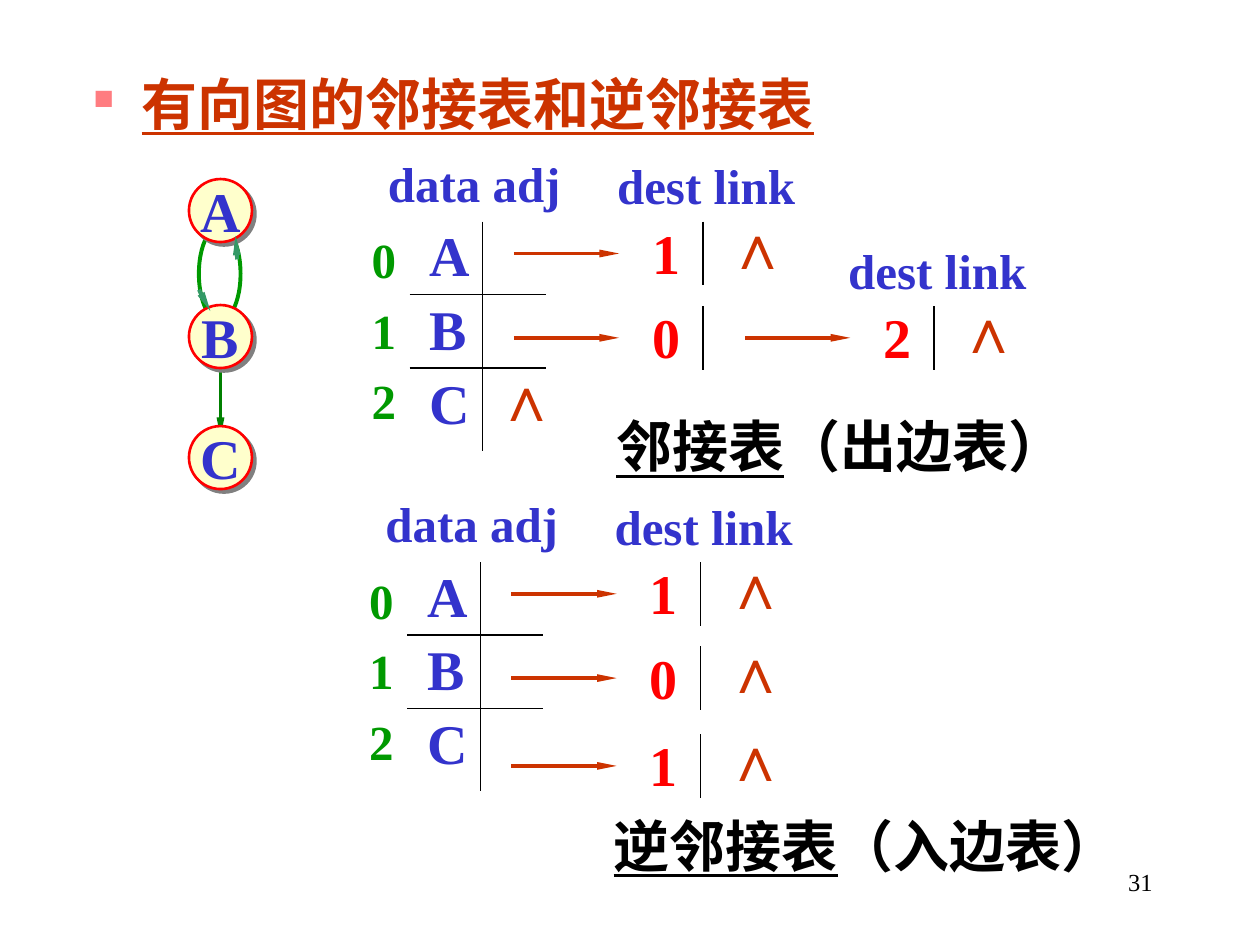
from lxml.etree import SubElement
from pptx import Presentation
from pptx.dml.color import RGBColor
from pptx.enum.shapes import MSO_CONNECTOR, MSO_SHAPE
from pptx.enum.text import MSO_ANCHOR, MSO_AUTO_SIZE, PP_ALIGN
from pptx.oxml.ns import qn
from pptx.util import Cm, Pt

COLORS = {
    "heading": "CC3300", "bullet": "FF7C80", "label": "3333CC", "index": "009900",
    "value": "FF0000", "text": "000000", "node": "FFFFCC", "shadow": "808080",
    "edge": "008000", "edge_tip": "339966",
}
LATIN, CJK = "Times New Roman", "Noto Sans CJK SC"
NULL = "∧"

HEADING = "有向图的邻接表和逆邻接表"
PAGE = "31"
VERTICES = ["A", "B", "C"]
NODE_TOPS = [3.61, 6.15, 8.59]
NODE_LEFT, NODE_SIZE = 3.81, 1.27
EDGES = [
    ((4.01, 5.84), (4.24, 6.27)),
    ((4.78, 5.23), (4.75, 4.75)),
]
LISTS = [
    {"origin": (7.24, 2.97), "caption": ("邻接表", "（出边表）"), "caption_box": (5.21, 9.58),
     "chains": [["1"], ["0", "2"], []]},
    {"origin": (7.19, 9.83), "caption": ("逆邻接表", "（入边表）"), "caption_box": (13.26, 10.72),
     "chains": [["1"], ["0"], ["1"]]},
]
ROW_CENTERS = [2.14, 3.84, 5.61]
LINK_PITCH = 4.66

presentation = Presentation()
presentation.slide_width, presentation.slide_height = Cm(25.4), Cm(19.05)
slide = presentation.slides.add_slide(presentation.slide_layouts[5])


def rgb(name):
    return RGBColor.from_string(COLORS[name])


def style(run, size, color, bold=True, latin=LATIN, underline=None):
    font = run.font
    font.size, font.bold, font.name, font.underline = Pt(size), bold, latin, underline
    font.color.rgb = rgb(color)
    SubElement(run._r.get_or_add_rPr(), qn("a:ea"), typeface=CJK)


def text_box(lines, left, top, width, height, size, color, spacing=None):
    box = slide.shapes.add_textbox(Cm(left), Cm(top), Cm(width), Cm(height))
    frame = box.text_frame
    frame.word_wrap = False
    frame.auto_size = MSO_AUTO_SIZE.SHAPE_TO_FIT_TEXT
    frame.text = "\n".join(lines)
    for paragraph in frame.paragraphs:
        paragraph.line_spacing = spacing
        for run in paragraph.runs:
            style(run, size, color)
    return frame


def line(start, end, color="text", width=0.75, arrow=False):
    connector = slide.shapes.add_connector(
        MSO_CONNECTOR.STRAIGHT, *(Cm(value) for value in (*start, *end)))
    connector.line.color.rgb = rgb(color)
    connector.line.width = Pt(width)
    if arrow:
        SubElement(connector.line._get_or_add_ln(), qn("a:tailEnd"),
                   type="triangle", w="sm", len="lg")
    SubElement(connector._element.spPr, qn("a:effectLst"))


def oval(left, top, width, height, color, weight):
    shape = slide.shapes.add_shape(
        MSO_SHAPE.OVAL, Cm(left), Cm(top), Cm(width), Cm(height))
    shape.shadow.inherit = False
    shape.fill.background()
    shape.line.color.rgb = rgb(color)
    shape.line.width = Pt(weight)
    return shape


def add_heading():
    title = slide.shapes.title
    title.left, title.top, title.width, title.height = Cm(1.63), Cm(1.27), Cm(15.32), Cm(1.9)
    frame = title.text_frame
    frame.text = HEADING
    frame.vertical_anchor = MSO_ANCHOR.TOP
    paragraph = frame.paragraphs[0]
    paragraph.alignment = PP_ALIGN.LEFT
    properties = paragraph._p.get_or_add_pPr()
    properties.set("marL", str(Cm(0.97)))
    properties.set("indent", str(-Cm(0.97)))
    bullet_color = SubElement(properties, qn("a:buClr"))
    SubElement(bullet_color, qn("a:srgbClr"), val=COLORS["bullet"])
    SubElement(properties, qn("a:buSzPct"), val="50000")
    SubElement(properties, qn("a:buChar"), char="■")
    style(paragraph.runs[0], 32, "heading", underline=True)


def add_node(vertex, top):
    node = oval(NODE_LEFT, top, NODE_SIZE, NODE_SIZE, "value", 1.5)
    node.fill.solid()
    node.fill.fore_color.rgb = rgb("node")
    effects = node._element.spPr.find(qn("a:effectLst"))
    shadow = SubElement(effects, qn("a:outerShdw"), dist=str(Pt(2.8)), dir="2700000",
                        algn="ctr", rotWithShape="0")
    SubElement(shadow, qn("a:srgbClr"), val=COLORS["shadow"])
    frame = node.text_frame
    frame.margin_left = frame.margin_right = frame.margin_top = frame.margin_bottom = 0
    frame.word_wrap = False
    frame.vertical_anchor = MSO_ANCHOR.MIDDLE
    frame.text = vertex
    frame.paragraphs[0].alignment = PP_ALIGN.CENTER
    style(frame.paragraphs[0].runs[0], 32, "label")


def add_graph():
    center = NODE_LEFT + NODE_SIZE / 2
    line((center, 7.32), (center, 8.81), "edge", 2.25, True)
    oval(4.01, 4.57, 0.84, 1.9, "index", 2.25)
    for vertex, top in zip(VERTICES, NODE_TOPS):
        add_node(vertex, top)
    for start, end in EDGES:
        line(start, end, "edge_tip", 2.25, True)


def add_link(value, x, y, is_last, has_header):
    line((x, y), (x + 2.12, y), "heading", 2.25, True)
    line((x + 3.81, y - 0.64), (x + 3.81, y + 0.64))
    text_box([value], x + 2.54, y - 0.83, 1.07, 1.6, 32, "value")
    if is_last:
        text_box([NULL], x + 4.04, y - 1.08, 1.27, 1.78, 36, "heading")
    if has_header:
        text_box(["dest link"], x + 1.83, y - 2.09, 4.11, 1.45, 28, "label")


def add_list(origin, caption, caption_box, chains):
    x, y = origin
    text_box(["data adj"], x + 0.33, y, 4.01, 1.45, 28, "label")
    text_box(VERTICES, x + 1.17, y + 1.22, 1.32, 4.72, 32, "label", 1.1)
    text_box([str(i) for i in range(len(VERTICES))], x, y + 1.3, 1.02, 4.52, 28, "index", 1.2)
    line((x + 2.49, y + 1.5), (x + 2.49, y + 6.12))
    for rule in (2.97, 4.45):
        line((x + 1.02, y + rule), (x + 3.76, y + rule))
    for row, chain in enumerate(chains):
        for position, value in enumerate(chain):
            add_link(value, x + 3.12 + position * LINK_PITCH, y + ROW_CENTERS[row],
                     position == len(chain) - 1, row == 0 or position > 0)
        if not chain:
            text_box([NULL], x + 2.49, y + 4.14, 1.27, 1.78, 36, "heading")
    top, width = caption_box
    top = y + (5.21 if len(chains[2]) == 0 else 6.4)
    frame = text_box([caption[0]], x + 4.93, top, width, 1.6, 32, "text")
    paragraph = frame.paragraphs[0]
    paragraph.add_run().text = caption[1]
    for run, underline in zip(paragraph.runs, (True, False)):
        style(run, 32, "text", latin=CJK, underline=underline)


def add_page_number():
    frame = text_box([PAGE], 18.21, 17.35, 5.28, 1.27, 14, "text")
    frame.auto_size = MSO_AUTO_SIZE.NONE
    frame.word_wrap = True
    frame.paragraphs[0].alignment = PP_ALIGN.RIGHT
    frame.paragraphs[0].runs[0].font.bold = False


def main():
    add_heading()
    add_graph()
    for adjacency in LISTS:
        add_list(**adjacency)
    add_page_number()
    presentation.save("out.pptx")


if __name__ == "__main__":
    main()
